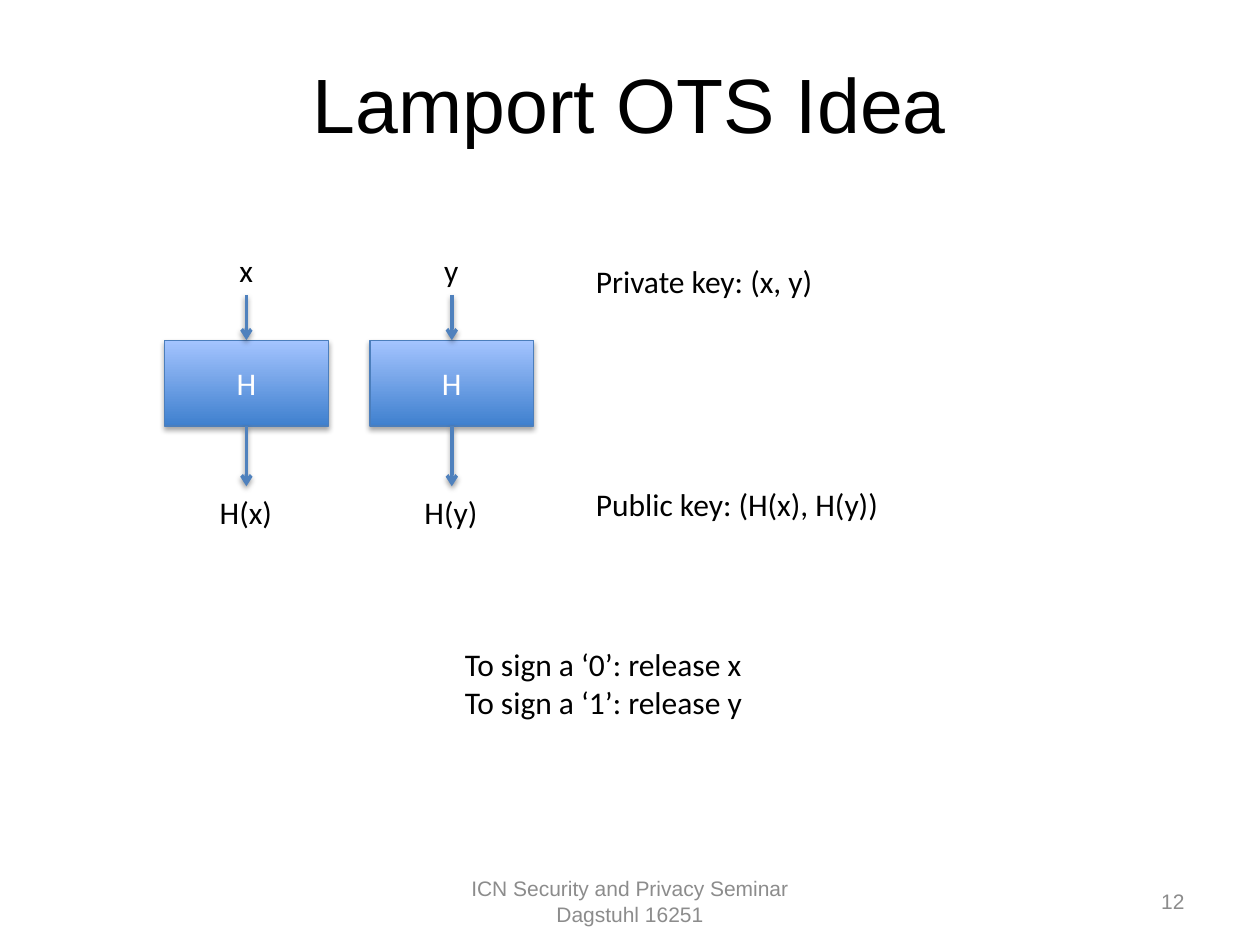
from lxml.etree import SubElement
from pptx import Presentation
from pptx.dml.color import RGBColor as RGB
from pptx.enum.shapes import MSO_CONNECTOR as LINK, MSO_SHAPE as FORM
from pptx.enum.text import MSO_ANCHOR as ANCHOR, MSO_AUTO_SIZE as FIT, PP_ALIGN as ALIGN
from pptx.oxml.ns import qn
from pptx.util import Pt

HUES = {
    "ink": "000000", "white": "FFFFFF", "grey": "8C8C8C",
    "deep": "3F80CE", "pale": "A4C4FF", "edge": "4B7EBC", "arrow": "4F81BD",
}
LEFT, PITCH = 140.8, 117.4  # middle of the first hash column, step to the next
TOP, WIDE, HIGH = 194.4, 93.6, 49


def hue(name):
    return RGB.from_string(HUES[name])


def write(frame, lines, size=18, font="Calibri", tint="ink", align=ALIGN.LEFT):
    for i, line in enumerate(lines):
        para = frame.paragraphs[0] if i == 0 else frame.add_paragraph()
        para.alignment = align
        run = para.add_run()
        run.text = line
        run.font.size = Pt(size)
        run.font.name = font
        run.font.color.rgb = hue(tint)


def add_text(slide, box, lines, wrap=False, anchor=ANCHOR.TOP, **style):
    frame = slide.shapes.add_textbox(*map(Pt, box)).text_frame
    frame.word_wrap = wrap
    frame.auto_size = FIT.NONE if wrap else FIT.SHAPE_TO_FIT_TEXT
    frame.vertical_anchor = anchor
    write(frame, lines, **style)


def add_shade(props, drop, alpha):
    """Cast a soft black shadow straight down."""
    effects = props.find(qn("a:effectLst"))
    if effects is None:
        effects = SubElement(props, qn("a:effectLst"))
    shade = SubElement(effects, qn("a:outerShdw"), blurRad=str(Pt(3.1)),
                       dist=str(Pt(drop)), dir="5400000", rotWithShape="0")
    black = SubElement(shade, qn("a:srgbClr"), val=HUES["ink"])
    SubElement(black, qn("a:alpha"), val=str(alpha * 1000))


def add_hash(slide, mid):
    box = slide.shapes.add_shape(
        FORM.RECTANGLE, Pt(mid - WIDE / 2), Pt(TOP), Pt(WIDE), Pt(HIGH))
    box.fill.gradient()
    box.fill.gradient_angle = 90
    for stop, name in zip(box.fill.gradient_stops, ("deep", "pale")):
        stop.color.rgb = hue(name)
    box.line.color.rgb = hue("edge")
    box.line.width = Pt(0.75)
    box.shadow.inherit = False
    add_shade(box.element.spPr, 1.8, 35)
    box.text_frame.vertical_anchor = ANCHOR.MIDDLE
    write(box.text_frame, ["H"], tint="white", align=ALIGN.CENTER)


def add_arrow(slide, mid, start, end):
    link = slide.shapes.add_connector(
        LINK.STRAIGHT, Pt(mid), Pt(start), Pt(mid), Pt(end))
    link.line.color.rgb = hue("arrow")
    link.line.width = Pt(2)
    SubElement(link.line._get_or_add_ln(), qn("a:tailEnd"), type="arrow")
    add_shade(link.element.spPr, 1.6, 38)


def add_column(slide, mid, name, wide):
    """Draw one secret, its hash box and the hashed value."""
    add_text(slide, (mid - wide / 2, 139.7, wide, 29), [name])
    add_hash(slide, mid)
    add_text(slide, (mid - wide / 2 - 11.2, 277.9, wide + 22.4, 29), [f"H({name})"])
    add_arrow(slide, mid, 168.5, TOP)
    add_arrow(slide, mid, TOP + HIGH, 277.9)


def main():
    deck = Presentation()
    deck.slide_width, deck.slide_height = Pt(720), Pt(540)
    slide = deck.slides.add_slide(deck.slide_layouts[6])

    add_text(slide, (36, 28.8, 648, 90), ["Lamport OTS Idea"], wrap=True,
             size=44, font="Arial", align=ALIGN.CENTER)
    foot = dict(wrap=True, anchor=ANCHOR.MIDDLE, size=12, font="Arial", tint="grey")
    add_text(slide, (246, 500.5, 228, 28.8),
             ["ICN Security and Privacy Seminar", "Dagstuhl 16251"],
             align=ALIGN.CENTER, **foot)
    add_text(slide, (516, 500.5, 168, 28.8), ["12"], align=ALIGN.RIGHT, **foot)

    for i, (name, wide) in enumerate((("x", 22.3), ("y", 23))):
        add_column(slide, LEFT + i * PITCH, name, wide)

    add_text(slide, (333.4, 146.2, 141, 29), ["Private key: (x, y)"])
    add_text(slide, (333.4, 273.6, 178, 29), ["Public key: (H(x), H(y))"])
    add_text(slide, (258.5, 365, 176.4, 51),
             ["To sign a ‘0’: release x", "To sign a ‘1’: release y"])
    deck.save("out.pptx")


if __name__ == "__main__":
    main()
